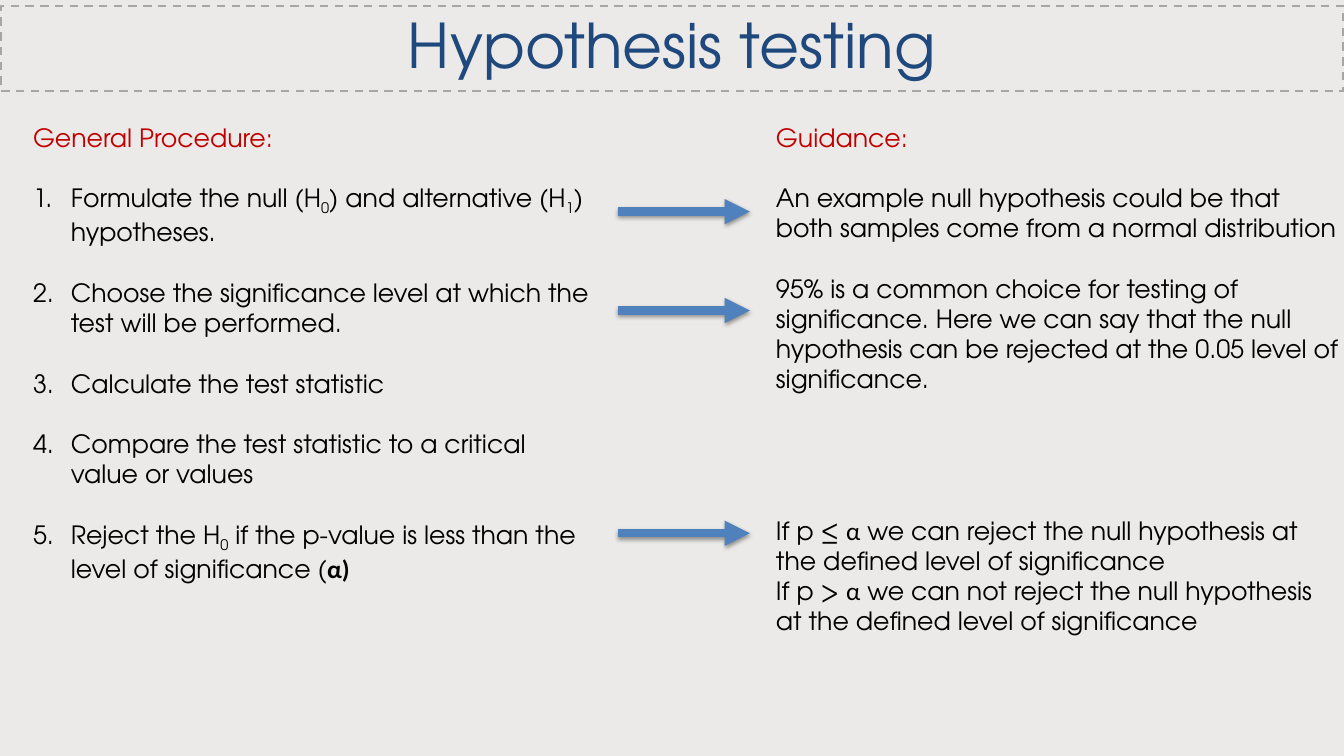
from dataclasses import dataclass

from lxml import etree
from pptx import Presentation
from pptx.dml.color import RGBColor
from pptx.enum.dml import MSO_LINE
from pptx.enum.shapes import MSO_CONNECTOR, MSO_SHAPE
from pptx.enum.text import MSO_ANCHOR, MSO_AUTO_SIZE, PP_ALIGN
from pptx.oxml import parse_xml
from pptx.oxml.ns import nsdecls, qn
from pptx.slide import Slide
from pptx.text.text import TextFrame
from pptx.util import Pt

RECTANGLE = MSO_SHAPE.RECTANGLE
STRAIGHT = MSO_CONNECTOR.STRAIGHT
DASH = MSO_LINE.DASH
MIDDLE = MSO_ANCHOR.MIDDLE
NO_AUTOFIT = MSO_AUTO_SIZE.NONE
CENTER = PP_ALIGN.CENTER
LEFT = PP_ALIGN.LEFT
TITLE_ONLY = 5


@dataclass(frozen=True)
class Theme:
    font: str = "TeX Gyre Adventor"
    symbol_font: str = "Calibri"
    title_size: float = 44
    body_size: float = 18
    line_gap: float = 21.6
    wash: str = "82766A"
    wash_opacity: int = 15
    title: str = "1F497D"
    frame: str = "A6A6A6"
    heading: str = "C00000"
    body: str = "000000"
    arrow: str = "4F81BD"


THEME = Theme()


@dataclass(frozen=True)
class Piece:
    text: str
    subscript: bool = False
    symbol: bool = False
    bold: bool = False


@dataclass(frozen=True)
class Entry:
    pieces: tuple[Piece, ...]
    color: str = THEME.body
    gap_lines: int = 1
    numbered: bool = False


@dataclass(frozen=True)
class Column:
    left: float
    height: float
    entries: tuple[Entry, ...]


def heading(text: str) -> Entry:
    return Entry((Piece(text),), color=THEME.heading, gap_lines=0)


def step(*pieces: Piece) -> Entry:
    return Entry(pieces, numbered=True)


def guidance(*pieces: Piece, gap_lines: int = 1) -> Entry:
    return Entry(pieces, gap_lines=gap_lines)


ALPHA = Piece("α", symbol=True)
SUBSCRIPT_ZERO = Piece("0", subscript=True)
SUBSCRIPT_ONE = Piece("1", subscript=True)

COLUMNS = (
    Column(16.5, 356.4, (
        heading("General Procedure:"),
        step(Piece("Formulate the null (H"), SUBSCRIPT_ZERO,
             Piece(") and alternative (H"), SUBSCRIPT_ONE, Piece(") hypotheses.")),
        step(Piece("Choose the significance level at which the test will be performed.")),
        step(Piece("Calculate the test statistic")),
        step(Piece("Compare the test statistic to a critical value or values")),
        step(Piece("Reject the H"), SUBSCRIPT_ZERO,
             Piece(" if the p-value is less than the level of significance ("),
             Piece("α)", symbol=True, bold=True)),
    )),
    Column(547.2, 378, (
        heading("Guidance:"),
        guidance(Piece("An example null hypothesis could be that both samples come "
                       "from a normal distribution")),
        guidance(Piece("95% is a common choice for testing of significance. Here we can say "
                       "that the null hypothesis can be rejected at the 0.05 level of "
                       "significance.")),
        guidance(Piece("If p ≤ "), ALPHA,
                 Piece(" we can reject the null hypothesis at the defined level of significance"),
                 gap_lines=4),
        guidance(Piece("If p > "), ALPHA,
                 Piece(" we can not reject the null hypothesis at the defined level of "
                       "significance"),
                 gap_lines=0),
    )),
)
COLUMN_TOP = 83.5
COLUMN_WIDTH = 417
NUMBER_INDENT = 27
ARROW_LEFT = 441.4
ARROW_RIGHT = 535.7
ARROW_LEVELS = (151.2, 221.8, 380.9)


def add_text(paragraph, text: str, *, size: float, color: str, font: str = THEME.font,
             bold: bool = False, subscript: bool = False) -> None:
    run = paragraph.add_run()
    run.text = text
    run.font.name = font
    run.font.size = Pt(size)
    run.font.bold = bold
    run.font.color.rgb = RGBColor.from_string(color)
    if subscript:
        run._r.get_or_add_rPr().set("baseline", "-25000")


def number_paragraph(paragraph) -> None:
    properties = paragraph._p.get_or_add_pPr()
    properties.set("marL", str(Pt(NUMBER_INDENT)))
    properties.set("indent", str(-Pt(NUMBER_INDENT)))
    etree.SubElement(properties, qn("a:buAutoNum"), type="arabicPeriod")


def write_entries(frame: TextFrame, entries: tuple[Entry, ...]) -> None:
    for index, entry in enumerate(entries):
        paragraph = frame.add_paragraph() if index else frame.paragraphs[0]
        paragraph.alignment = LEFT
        paragraph.space_before = Pt(entry.gap_lines * THEME.line_gap)
        if entry.numbered:
            number_paragraph(paragraph)
        for piece in entry.pieces:
            add_text(paragraph, piece.text, size=THEME.body_size, color=entry.color,
                     font=THEME.symbol_font if piece.symbol else THEME.font,
                     bold=piece.bold, subscript=piece.subscript)


def add_wash(slide: Slide, width: int, height: int) -> None:
    wash = slide.shapes.add_shape(RECTANGLE, 0, 0, width, height)
    wash.shadow.inherit = False
    wash.line.fill.background()
    wash.fill.solid()
    wash.fill.fore_color.rgb = RGBColor.from_string(THEME.wash)
    color = wash._element.spPr.find(qn("a:solidFill")).find(qn("a:srgbClr"))
    etree.SubElement(color, qn("a:alpha"), val=str(THEME.wash_opacity * 1000))
    slide.shapes._spTree.insert(2, wash._element)


def format_title(slide: Slide) -> None:
    title = slide.shapes.title
    title.left, title.top, title.width, title.height = Pt(0.7), Pt(4.3), Pt(959), Pt(60.5)
    title.line.color.rgb = RGBColor.from_string(THEME.frame)
    title.line.width = Pt(1.5)
    title.line.dash_style = DASH
    frame = title.text_frame
    frame.auto_size = NO_AUTOFIT
    frame.vertical_anchor = MIDDLE
    paragraph = frame.paragraphs[0]
    paragraph.alignment = CENTER
    paragraph.line_spacing = 0.9
    add_text(paragraph, "Hypothesis testing", size=THEME.title_size, color=THEME.title)


def add_column(slide: Slide, column: Column) -> None:
    box = slide.shapes.add_textbox(Pt(column.left), Pt(COLUMN_TOP),
                                   Pt(COLUMN_WIDTH), Pt(column.height))
    box.text_frame.word_wrap = True
    write_entries(box.text_frame, column.entries)


def add_arrow(slide: Slide, level: float) -> None:
    arrow = slide.shapes.add_connector(STRAIGHT, Pt(ARROW_LEFT), Pt(level),
                                       Pt(ARROW_RIGHT), Pt(level))
    arrow.line.color.rgb = RGBColor.from_string(THEME.arrow)
    arrow.line.width = Pt(6)
    etree.SubElement(arrow.line._get_or_add_ln(), qn("a:tailEnd"), type="triangle")
    arrow._element.spPr.append(parse_xml(
        f'<a:effectLst {nsdecls("a")}><a:outerShdw blurRad="{Pt(3.1)}" dist="{Pt(1.6)}" '
        'dir="5400000" rotWithShape="0"><a:srgbClr val="000000"><a:alpha val="38000"/>'
        '</a:srgbClr></a:outerShdw></a:effectLst>'))


def main() -> None:
    presentation = Presentation()
    presentation.slide_width, presentation.slide_height = Pt(960), Pt(540)
    slide = presentation.slides.add_slide(presentation.slide_layouts[TITLE_ONLY])
    add_wash(slide, presentation.slide_width, presentation.slide_height)
    format_title(slide)
    for column in COLUMNS:
        add_column(slide, column)
    for level in ARROW_LEVELS:
        add_arrow(slide, level)
    presentation.save("out.pptx")


if __name__ == "__main__":
    main()
